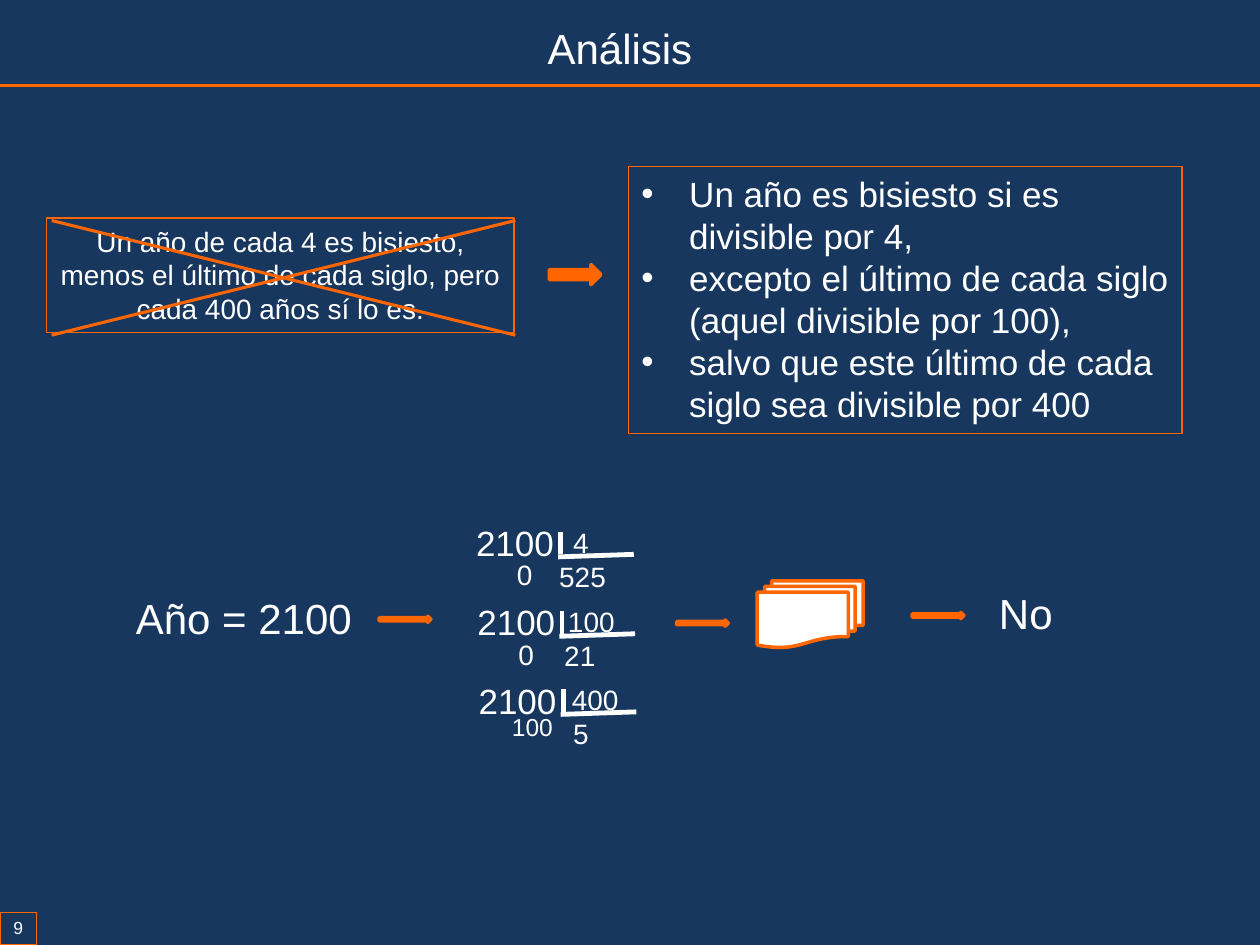
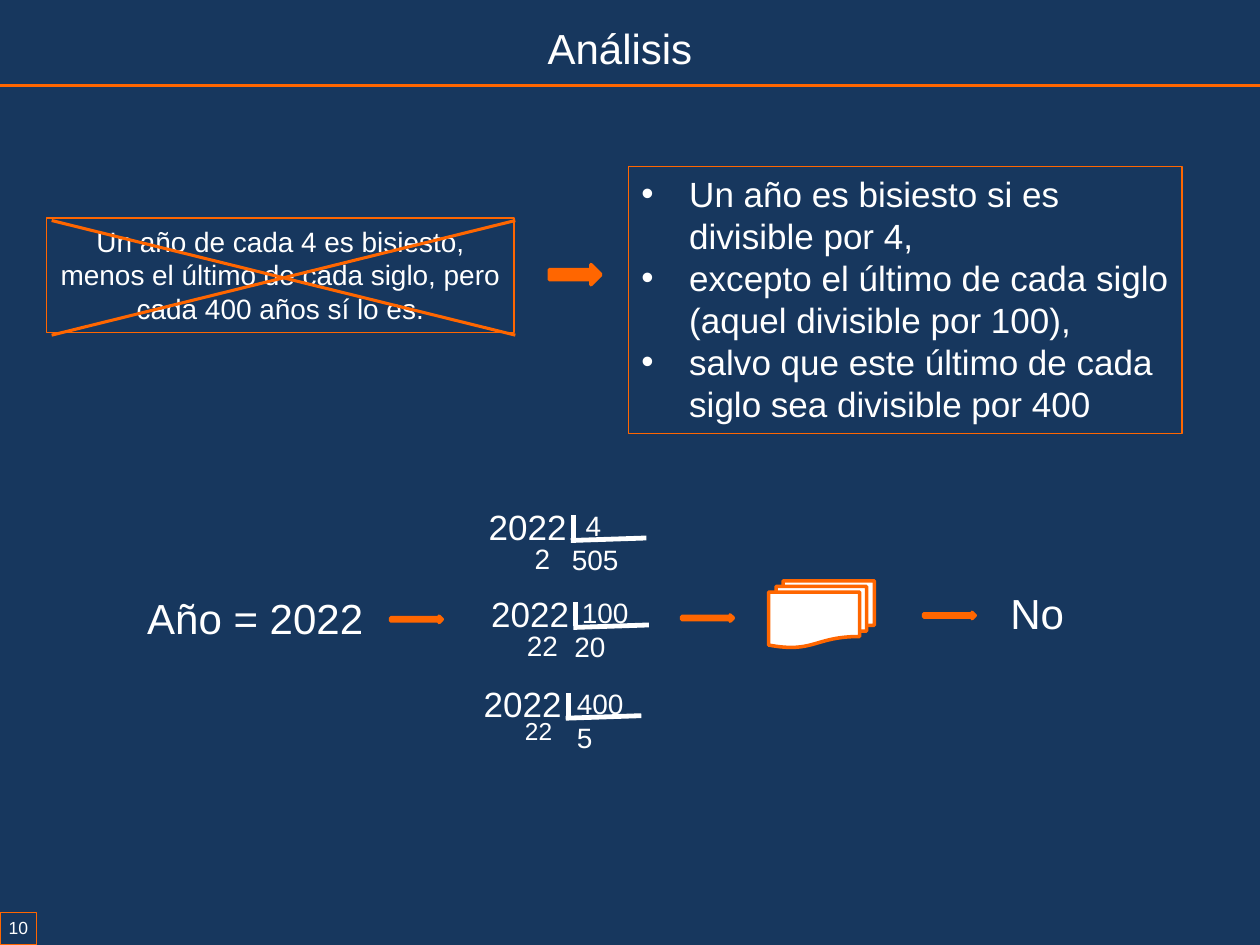
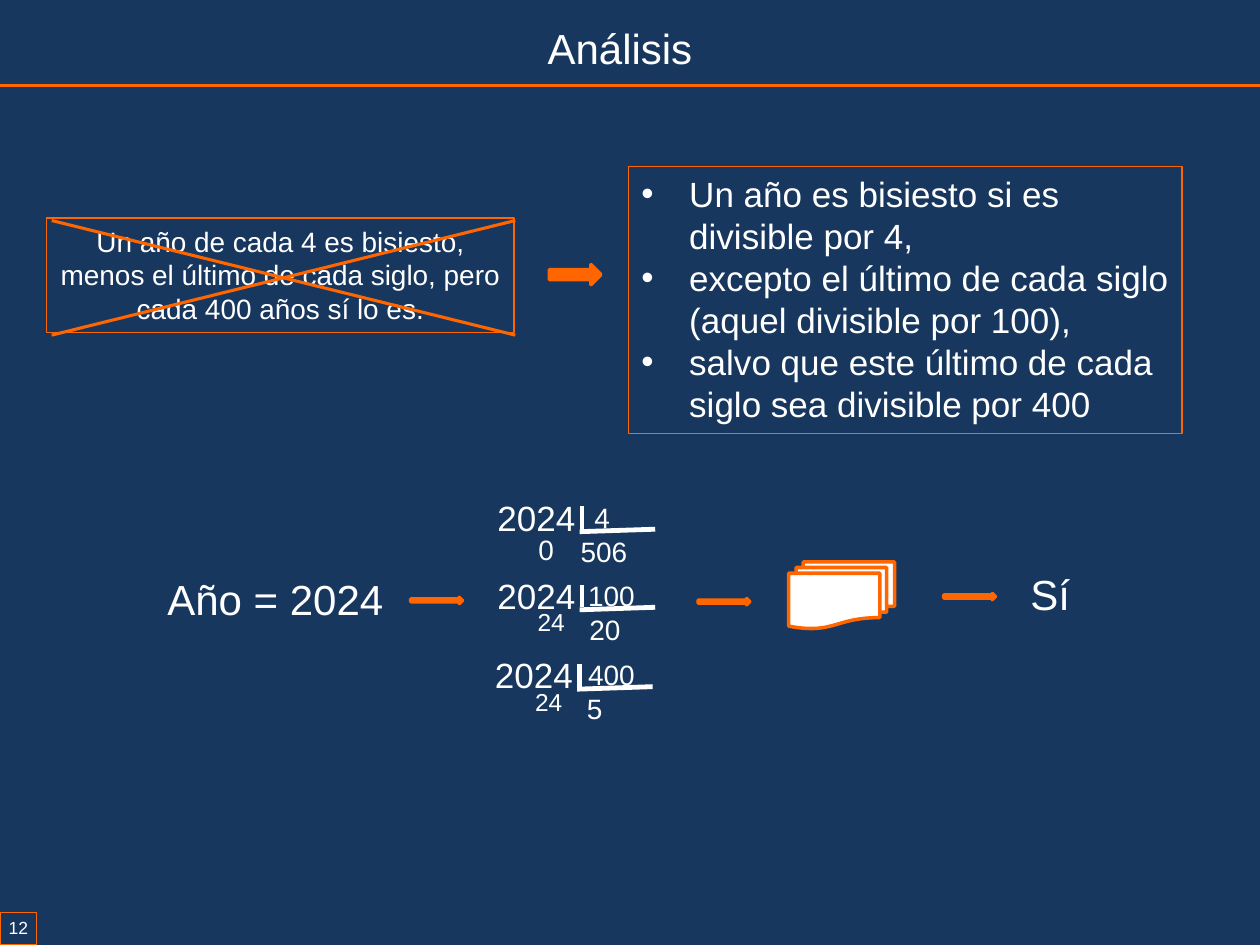
from dataclasses import dataclass

from lxml import etree
from pptx import Presentation
from pptx.dml.color import RGBColor
from pptx.enum.shapes import MSO_CONNECTOR, MSO_SHAPE
from pptx.enum.text import MSO_ANCHOR, MSO_AUTO_SIZE, PP_ALIGN
from pptx.oxml.ns import qn
from pptx.util import Inches, Pt

STRAIGHT = MSO_CONNECTOR.STRAIGHT
RECTANGLE = MSO_SHAPE.RECTANGLE
RIGHT_ARROW = MSO_SHAPE.RIGHT_ARROW
MULTIDOCUMENT = MSO_SHAPE.FLOWCHART_MULTIDOCUMENT
LEFT = PP_ALIGN.LEFT
CENTER = PP_ALIGN.CENTER
TOP = MSO_ANCHOR.TOP
NO_AUTOFIT = MSO_AUTO_SIZE.NONE

NAVY = "17375E"
ORANGE = "FF6600"
WHITE = "FFFFFF"
FONT = "Arial"

OLD_RULE = "Un año de cada 4 es bisiesto, menos el último de cada siglo, pero cada 400 años sí lo es."
NEW_RULES = [
    "Un año es bisiesto si es divisible por 4,",
    "excepto el último de cada siglo (aquel divisible por 100),",
    "salvo que este último de cada siglo sea divisible por 400",
]
DIVISOR_OFFSETS = {"4": 0.77, "100": 0.72, "400": 0.74}
REMAINDER_BOXES = {16: (0.29, 0.47, 0.37), 14: (0.26, 0.59, 0.34)}


@dataclass
class Division:
    left: float
    top: float
    divisor: str
    quotient: str
    remainder: str
    quotient_offset: float
    remainder_offset: float
    remainder_size: int = 16


@dataclass
class YearCase:
    number: str
    year: str
    answer: str
    left: float
    top: float
    middle_arrow: tuple
    divisions: list


CASES = [
    YearCase("9", "2100", "No", 0.98, 4.65, (5.37, 4.92), [
        Division(3.68, 4.09, "4", "525", "0", 0.66, 0.25),
        Division(3.69, 4.72, "100", "21", "0", 0.69, 0.25),
        Division(3.70, 5.34, "400", "5", "100", 0.75, 0.23, 14),
    ]),
    YearCase("10", "2022", "No", 1.07, 4.65, (5.41, 4.88), [
        Division(3.78, 3.96, "4", "505", "2", 0.66, 0.29),
        Division(3.80, 4.65, "100", "20", "22", 0.66, 0.27),
        Division(3.74, 5.37, "400", "5", "22", 0.74, 0.24, 14),
    ]),
    YearCase("12", "2024", "Sí", 1.23, 4.50, (5.54, 4.75), [
        Division(3.85, 3.89, "4", "506", "0", 0.66, 0.25),
        Division(3.85, 4.51, "100", "20", "24", 0.73, 0.23, 14),
        Division(3.83, 5.14, "400", "5", "24", 0.73, 0.23, 14),
    ]),
]


def color(value):
    return RGBColor.from_string(value)


def set_outline(shape, value, width):
    shape.line.color.rgb = color(value)
    shape.line.width = Pt(width)


def place(shape, left, top, width, height):
    shape.left, shape.top = Inches(left), Inches(top)
    shape.width, shape.height = Inches(width), Inches(height)


def write_text(shape, lines, size, alignment=LEFT, wrap=True):
    frame = shape.text_frame
    frame.text = "\n".join(lines)
    frame.word_wrap = wrap
    frame.auto_size = NO_AUTOFIT
    frame.vertical_anchor = TOP
    for paragraph in frame.paragraphs:
        paragraph.alignment = alignment
        paragraph.space_before = Pt(0)
        paragraph.font.name = FONT
        paragraph.font.size = Pt(size)
        paragraph.font.color.rgb = color(WHITE)


def add_label(slide, text, left, top, width, height, size, alignment=LEFT, wrap=True):
    label = slide.shapes.add_textbox(Inches(left), Inches(top), Inches(width), Inches(height))
    write_text(label, [text], size, alignment, wrap)
    return label


def add_line(slide, start, end, value, width):
    line = slide.shapes.add_connector(STRAIGHT, *map(Inches, start + end))
    set_outline(line, value, width)
    etree.SubElement(line._element.spPr, qn("a:effectLst"))


def add_figure(slide, preset, left, top, width, height, fill=None, outline_width=2):
    figure = slide.shapes.add_shape(preset, Inches(left), Inches(top), Inches(width), Inches(height))
    figure.shadow.inherit = False
    if fill:
        figure.fill.solid()
        figure.fill.fore_color.rgb = color(fill)
    else:
        figure.fill.background()
    set_outline(figure, ORANGE, outline_width)
    return figure


def add_flow_arrow(slide, left, top, height=0.05):
    add_figure(slide, RIGHT_ARROW, left, top, 0.41, height, ORANGE)


def add_frame(slide, number):
    add_line(slide, (0, 0.68), (10, 0.68), ORANGE, 2)
    badge = add_figure(slide, RECTANGLE, 0, 7.24, 0.29, 0.26, outline_width=0.75)
    write_text(badge, [number], 10, CENTER, wrap=False)
    frame = badge.text_frame
    frame.margin_left = frame.margin_right = Inches(0.02)
    frame.margin_top = frame.margin_bottom = Inches(0.04)
    title = slide.shapes.title
    place(title, 1.69, 0.13, 6.46, 0.5)
    write_text(title, ["Análisis"], 24, CENTER)


def add_rules(slide):
    rules = slide.placeholders[1]
    place(rules, 4.99, 1.32, 4.39, 2.12)
    set_outline(rules, ORANGE, 0.75)
    write_text(rules, NEW_RULES, 20)
    for paragraph in rules.text_frame.paragraphs:
        properties = paragraph._p.get_or_add_pPr()
        properties.set("marL", str(Inches(0.38)))
        properties.set("indent", str(-Inches(0.38)))
        etree.SubElement(properties, qn("a:buChar"), char="•")

    old_rule = add_figure(slide, RECTANGLE, 0.37, 1.73, 3.71, 0.91, outline_width=0.75)
    write_text(old_rule, [OLD_RULE], 16, CENTER)
    add_line(slide, (0.41, 2.66), (4.09, 1.75), ORANGE, 1.75)
    add_line(slide, (0.41, 1.75), (4.09, 2.66), ORANGE, 1.75)
    add_flow_arrow(slide, 4.36, 2.1, 0.16)


def add_division(slide, year, division):
    left, top = division.left, division.top
    add_label(slide, year, left, top, 0.94, 0.44, 20)
    add_line(slide, (left + 0.77, top + 0.13), (left + 0.77, top + 0.31), WHITE, 2.75)
    add_line(slide, (left + 0.75, top + 0.33), (left + 1.35, top + 0.31), WHITE, 2.75)
    add_label(slide, division.divisor, left + DIVISOR_OFFSETS[division.divisor],
              top + 0.03, 0.67, 0.37, 16)
    add_label(slide, division.quotient, left + division.quotient_offset,
              top + 0.3, 0.6, 0.37, 16)
    drop, width, height = REMAINDER_BOXES[division.remainder_size]
    add_label(slide, division.remainder, left + division.remainder_offset,
              top + drop, width, height, division.remainder_size, CENTER)


def add_year_flow(slide, case):
    left, top = case.left, case.top
    add_label(slide, f"Año = {case.year}", left, top, 1.93, 0.5, 24, wrap=False)
    add_flow_arrow(slide, left + 2.03, top + 0.24)
    for division in case.divisions:
        add_division(slide, case.year, division)
    add_flow_arrow(slide, *case.middle_arrow)
    add_figure(slide, MULTIDOCUMENT, left + 5.03, top - 0.04, 0.84, 0.53, WHITE)
    add_flow_arrow(slide, left + 6.26, top + 0.21)
    add_label(slide, case.answer, left + 6.85, top - 0.04, 0.94, 0.5, 24)


def main():
    presentation = Presentation()
    presentation.slide_width = Inches(10)
    presentation.slide_height = Inches(7.5)
    background = presentation.slide_master.background.fill
    background.solid()
    background.fore_color.rgb = color(NAVY)
    for case in CASES:
        slide = presentation.slides.add_slide(presentation.slide_layouts[1])
        add_frame(slide, case.number)
        add_rules(slide)
        add_year_flow(slide, case)
    presentation.save("out.pptx")


if __name__ == "__main__":
    main()
